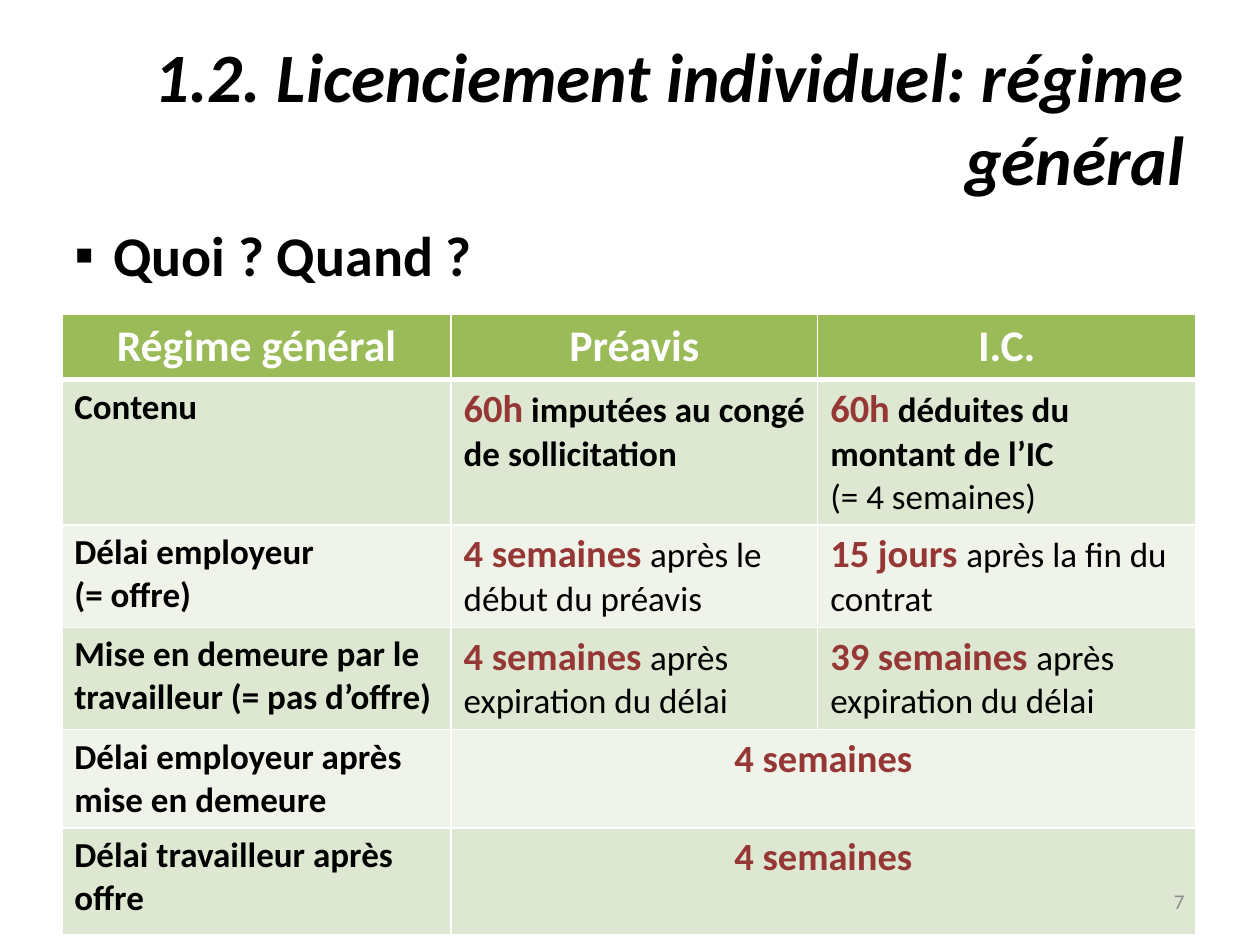
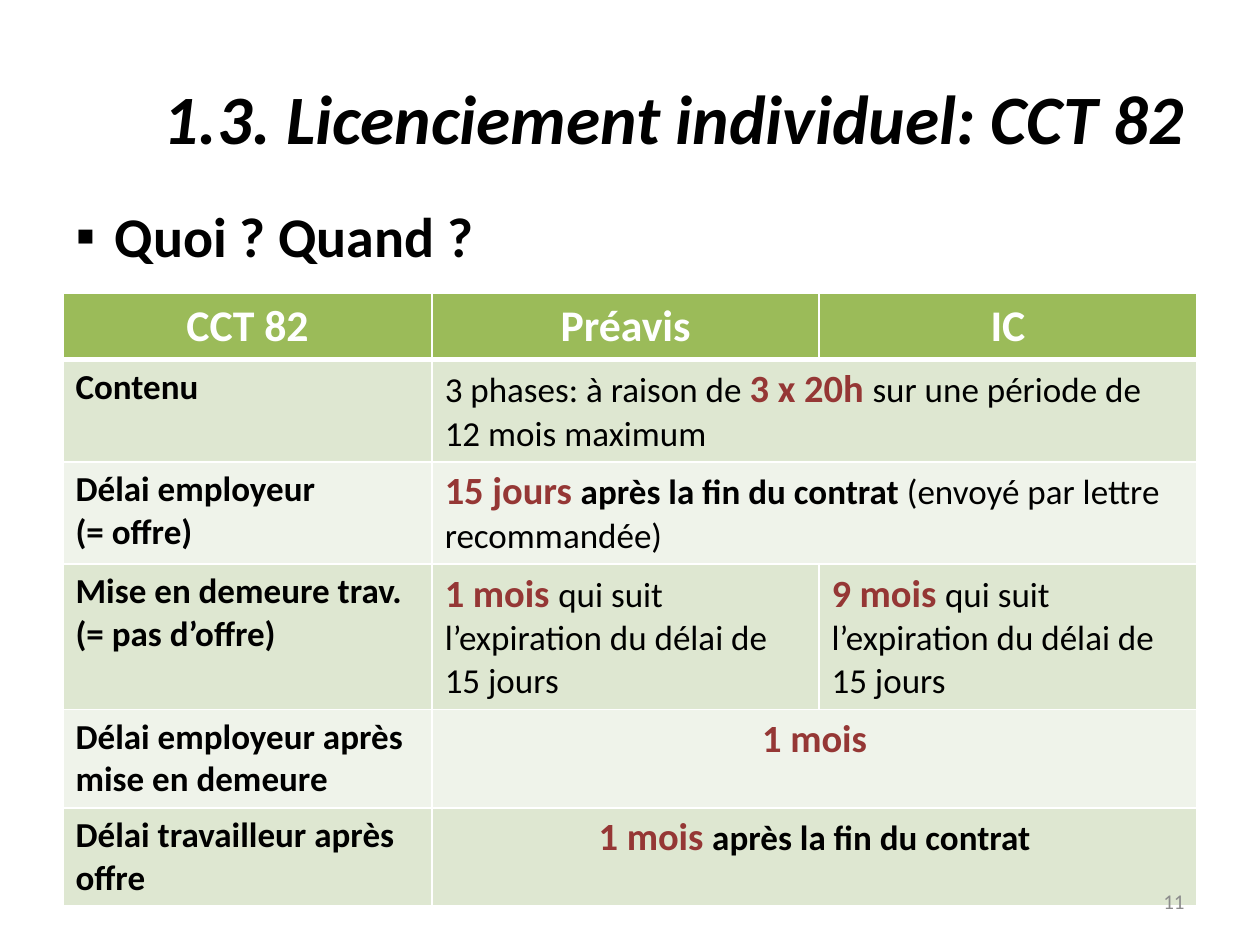
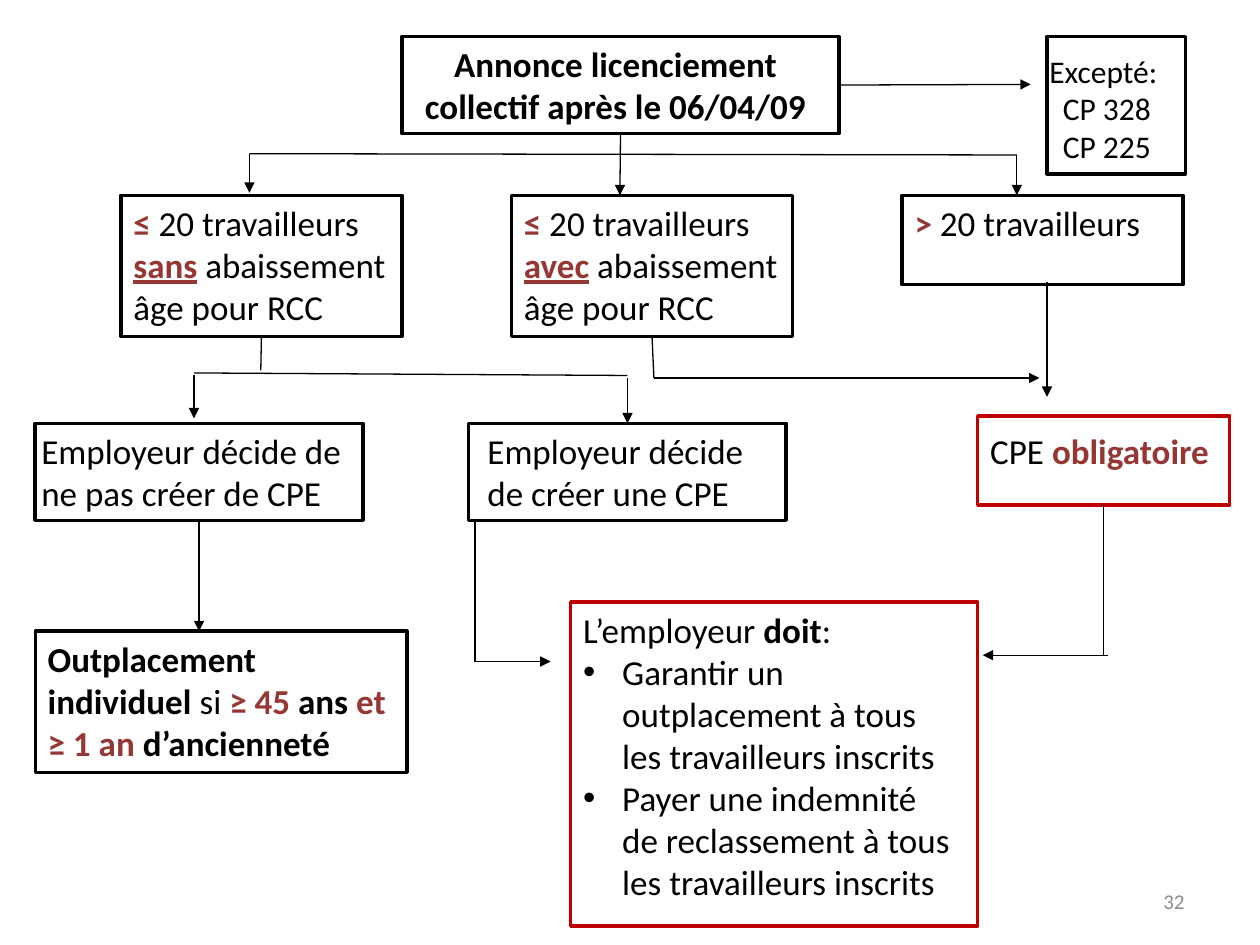
"""Build three slides on dismissal and outplacement rules."""
from dataclasses import dataclass
from typing import NamedTuple, Optional

from lxml import etree
from pptx import Presentation
from pptx.dml.color import RGBColor
from pptx.enum.shapes import MSO_CONNECTOR, MSO_SHAPE
from pptx.enum.text import MSO_ANCHOR, MSO_AUTO_SIZE, PP_ALIGN
from pptx.oxml.ns import qn
from pptx.util import Inches, Pt

BLACK = RGBColor(0x00, 0x00, 0x00)
WHITE = RGBColor(0xFF, 0xFF, 0xFF)
DARK_RED = RGBColor(0x95, 0x37, 0x35)
ALERT = RGBColor(0xC0, 0x00, 0x00)
GREY = RGBColor(0x8C, 0x8C, 0x8C)
GREEN = RGBColor(0x9B, 0xBB, 0x59)
BANDS = (RGBColor(0xDE, 0xE7, 0xD1), RGBColor(0xEF, 0xF3, 0xEA))

FONT = "Calibri"
CENTER, RIGHT, LEFT = PP_ALIGN.CENTER, PP_ALIGN.RIGHT, PP_ALIGN.LEFT
MIDDLE, TOP = MSO_ANCHOR.MIDDLE, MSO_ANCHOR.TOP
FIXED, GROW = MSO_AUTO_SIZE.NONE, MSO_AUTO_SIZE.SHAPE_TO_FIT_TEXT
STRAIGHT, RECTANGLE = MSO_CONNECTOR.STRAIGHT, MSO_SHAPE.RECTANGLE
BOTTOM_SIDE, RIGHT_SIDE, TOP_SIDE = 2, 3, 0
CONTENT_LAYOUT, BLANK_LAYOUT = 1, 6
LIST_INDENT = Inches(0.31)


class Box(NamedTuple):
    """Left, top, width and height in inches."""
    left: float
    top: float
    width: float
    height: float

    def lengths(self) -> list:
        return [Inches(value) for value in self]


TITLE_BOX = Box(0.5, 0.3, 9, 1.25)
NUMBER_BOX = Box(7.17, 6.95, 2.33, 0.4)


@dataclass
class Span:
    """A stretch of text in one format."""
    text: str
    bold: bool = False
    color: RGBColor = BLACK
    size: float = 20
    italic: bool = False
    underline: bool = False


@dataclass
class Line:
    """A paragraph made of spans."""
    spans: list
    align: PP_ALIGN = LEFT
    bullet: str = ""


@dataclass
class Entry:
    """A table cell, possibly spread over several columns."""
    lines: list
    columns: int = 1


@dataclass
class Regime:
    """A slide with a title, a question and a table of deadlines."""
    title: str
    number: str
    question_box: Box
    table_box: Box
    column_widths: tuple
    row_heights: tuple
    headings: tuple
    rows: list


@dataclass
class Step:
    """A box of the flow chart with its wording."""
    frame: Box
    caption: Box
    lines: list
    outline: RGBColor = BLACK


@dataclass
class Link:
    """A line of the flow chart, joined to steps where it meets them."""
    start: tuple
    end: tuple
    arrow: bool = True
    source: Optional[tuple] = None
    target: Optional[tuple] = None


def bold(text: str) -> Span:
    """Return a bold span."""
    return Span(text, bold=True)


def red(text: str, size: float = 20, underline: bool = False) -> Span:
    """Return a highlighted span."""
    return Span(text, True, DARK_RED, size, underline=underline)


def label(*texts: str) -> Entry:
    """Return the bold first cell of a row."""
    return Entry([Line([bold(text)]) for text in texts])


def term(key: str, *rest: Span, columns: int = 1, align: PP_ALIGN = LEFT) -> Entry:
    """Return a cell that opens with a highlighted duration."""
    return Entry([Line([red(key, 22), *rest], align)], columns)


def set_bullet(paragraph, symbol: str) -> None:
    """Give a paragraph a bullet with a hanging indent."""
    properties = paragraph._p.get_or_add_pPr()
    properties.set("marL", str(LIST_INDENT))
    properties.set("indent", str(-LIST_INDENT))
    etree.SubElement(properties, qn("a:buFont")).set("typeface", "Arial")
    etree.SubElement(properties, qn("a:buChar")).set("char", symbol)


def write(frame, lines: list) -> None:
    """Write formatted paragraphs into a text frame."""
    for index, line in enumerate(lines):
        paragraph = frame.add_paragraph() if index else frame.paragraphs[0]
        paragraph.alignment = line.align
        paragraph.space_before = Pt(0)
        if line.bullet:
            set_bullet(paragraph, line.bullet)
        for span in line.spans:
            run = paragraph.add_run()
            run.text = span.text
            formats = {"name": FONT, "size": Pt(span.size), "bold": span.bold,
                       "italic": span.italic, "underline": span.underline}
            for attribute, value in formats.items():
                setattr(run.font, attribute, value)
            run.font.color.rgb = span.color


def place(shape, box: Box, lines: list, anchor: MSO_ANCHOR = TOP,
          sizing: MSO_AUTO_SIZE = FIXED) -> None:
    """Move a text shape and fill it."""
    geometry = dict(zip(("left", "top", "width", "height"), box.lengths()))
    for attribute, value in geometry.items():
        setattr(shape, attribute, value)
    frame = shape.text_frame
    settings = {"word_wrap": True, "vertical_anchor": anchor, "auto_size": sizing}
    for attribute, value in settings.items():
        setattr(frame, attribute, value)
    write(frame, lines)


def add_text(slide, box: Box, lines: list, anchor: MSO_ANCHOR = TOP,
             sizing: MSO_AUTO_SIZE = GROW) -> None:
    """Add a wrapped text box."""
    place(slide.shapes.add_textbox(*box.lengths()), box, lines, anchor, sizing)


def add_number(slide, number: str) -> None:
    """Add the slide number in the footer."""
    add_text(slide, NUMBER_BOX, [Line([Span(number, color=GREY, size=12)], RIGHT)],
             MIDDLE, FIXED)


def set_borders(cell, row: int) -> None:
    """Draw white cell borders, thicker below the heading row."""
    widths = {"a:lnL": 1, "a:lnR": 1, "a:lnT": 3 if row == 1 else 1,
              "a:lnB": 3 if row == 0 else 1}
    for tag, width in widths.items():
        border = etree.SubElement(cell._tc.get_or_add_tcPr(), qn(tag))
        border.set("w", str(Pt(width)))
        fill = etree.SubElement(border, qn("a:solidFill"))
        etree.SubElement(fill, qn("a:srgbClr")).set("val", str(WHITE))


def add_deadlines(slide, regime: Regime) -> None:
    """Add the table of deadlines."""
    headings = [Entry([Line([Span(text, True, WHITE, 25)], CENTER)])
                for text in regime.headings]
    rows = [headings, *regime.rows]
    table = slide.shapes.add_table(len(rows), len(headings),
                                   *regime.table_box.lengths()).table
    table.horz_banding = False
    for column, width in zip(table.columns, regime.column_widths):
        column.width = Inches(width)
    for row, height in zip(table.rows, regime.row_heights):
        row.height = Inches(height)
    for row_index, entries in enumerate(rows):
        for cell in table.rows[row_index].cells:
            set_borders(cell, row_index)
            cell.fill.solid()
            cell.fill.fore_color.rgb = BANDS[(row_index - 1) % 2] if row_index else GREEN
        column_index = 0
        for entry in entries:
            cell = table.cell(row_index, column_index)
            column_index += entry.columns
            if entry.columns > 1:
                cell.merge(table.cell(row_index, column_index - 1))
            write(cell.text_frame, entry.lines)


def add_regime(deck, regime: Regime) -> None:
    """Add a slide for one dismissal regime."""
    slide = deck.slides.add_slide(deck.slide_layouts[CONTENT_LAYOUT])
    title = Span(regime.title, True, size=39.6, italic=True)
    place(slide.shapes.title, TITLE_BOX, [Line([title], RIGHT)], MIDDLE)
    question = Span("Quoi ? Quand ?", True, size=32)
    place(slide.placeholders[1], regime.question_box, [Line([question], bullet="▪")])
    add_deadlines(slide, regime)
    add_number(slide, regime.number)


def add_step(slide, step: Step):
    """Add a flow chart box and return its outline."""
    add_text(slide, step.caption, step.lines)
    outline = slide.shapes.add_shape(RECTANGLE, *step.frame.lengths())
    outline.shadow.inherit = False
    outline.fill.background()
    outline.line.color.rgb = step.outline
    outline.line.width = Pt(2)
    return outline


def add_link(slide, link: Link, outlines: dict) -> None:
    """Add a flow chart line."""
    ends = [Inches(value) for value in (*link.start, *link.end)]
    connector = slide.shapes.add_connector(STRAIGHT, *ends)
    connector.line.color.rgb = BLACK
    connector.line.width = Pt(0.75)
    if link.arrow:
        tail = etree.SubElement(connector.line._get_or_add_ln(), qn("a:tailEnd"))
        tail.set("type", "triangle")
    etree.SubElement(connector._element.spPr, qn("a:effectLst"))
    if link.source:
        connector.begin_connect(outlines[link.source[0]], link.source[1])
    if link.target:
        connector.end_connect(outlines[link.target[0]], link.target[1])


def add_flow(deck, steps: dict, links: list, number: str) -> None:
    """Add the flow chart slide."""
    slide = deck.slides.add_slide(deck.slide_layouts[BLANK_LAYOUT])
    add_number(slide, number)
    outlines = {name: add_step(slide, step) for name, step in steps.items()}
    for link in links:
        add_link(slide, link, outlines)


EMPLOYER_OFFER = label("Délai employeur", "(= offre)")
EMPLOYER_NOTICE = label("Délai employeur après mise en demeure")
WORKER_REPLY = label("Délai travailleur après offre")
AFTER_EXPIRY = Span("après expiration du délai")
AFTER_FIFTEEN_DAYS = Span("qui suit l’expiration du délai de 15 jours")
FOUR_WEEKS = term("4 semaines", columns=2, align=CENTER)

REGIMES = [
    Regime(
        "1.2. Licenciement individuel: régime général", "7",
        Box(0.49, 1.7, 5.53, 0.64), Box(0.49, 2.49, 9, 4.92),
        (3.09, 2.91, 3), (0.52, 1.15, 0.81, 0.81, 0.78, 0.85),
        ("Régime général", "Préavis", "I.C."),
        [
            [label("Contenu"),
             term("60h", Span(" "), bold("imputées au congé de sollicitation")),
             Entry([Line([red("60h", 22), Span(" "), bold("déduites du montant de l’IC")]),
                    Line([Span("(= 4 semaines)")])])],
            [EMPLOYER_OFFER, term("4 semaines ", Span("après le début du préavis")),
             term("15 jours ", Span("après la fin du contrat"))],
            [label("Mise en demeure par le travailleur (= pas d’offre)"),
             term("4 semaines ", AFTER_EXPIRY), term("39 semaines ", AFTER_EXPIRY)],
            [EMPLOYER_NOTICE, FOUR_WEEKS],
            [WORKER_REPLY, FOUR_WEEKS],
        ]),
    Regime(
        "1.3. Licenciement individuel: CCT 82", "11",
        Box(0.5, 1.55, 6.31, 0.64), Box(0.5, 2.33, 9, 4.85),
        (2.93, 3.07, 3), (0.52, 0.81, 0.81, 1.15, 0.78, 0.78),
        ("CCT 82", "Préavis", "IC"),
        [
            [label("Contenu"),
             Entry([Line([Span("3 phases: à raison de "), red("3 x 20h ", 22),
                          Span("sur une période de 12 mois maximum")])], 2)],
            [EMPLOYER_OFFER,
             term("15 jours ", bold("après la fin du contrat "),
                  Span("(envoyé par lettre recommandée)"), columns=2)],
            [label("Mise en demeure trav.", "(= pas d’offre)"),
             term("1 mois ", AFTER_FIFTEEN_DAYS), term("9 mois ", AFTER_FIFTEEN_DAYS)],
            [EMPLOYER_NOTICE, term("1 mois", columns=2, align=CENTER)],
            [WORKER_REPLY,
             term("1 mois ", bold("après la fin du contrat"), columns=2, align=CENTER)],
        ]),
]

STEPS = {
    "announcement": Step(
        Box(3.19, 0.29, 3.47, 0.77), Box(3.19, 0.29, 3.39, 0.77),
        [Line([bold("Annonce licenciement collectif après le 06/04/09")], CENTER)]),
    "exception": Step(
        Box(8.31, 0.29, 1.1, 1.09), Box(8.07, 0.36, 1.43, 1.01),
        [Line([Span(text, size=18)], CENTER) for text in ("Excepté: ", "CP 328", "CP 225")]),
    "small_without": Step(
        Box(0.96, 1.55, 2.23, 1.12), Box(0.96, 1.55, 2.23, 1.11),
        [Line([red("≤ "), Span("20 travailleurs "), red("sans", underline=True),
               Span(" abaissement âge pour RCC")])]),
    "small_with": Step(
        Box(4.06, 1.55, 2.23, 1.12), Box(4.06, 1.55, 2.23, 1.11),
        [Line([red("≤"), Span(" 20 travailleurs "), red("avec", underline=True),
               Span(" abaissement âge pour RCC")])]),
    "large": Step(
        Box(7.16, 1.55, 2.23, 0.71), Box(7.16, 1.55, 2.05, 0.44),
        [Line([red(">"), Span(" 20 travailleurs")])]),
    "no_unit": Step(
        Box(0.28, 3.36, 2.6, 0.77), Box(0.23, 3.36, 2.6, 0.77),
        [Line([Span("Employeur décide de ne pas créer de CPE")])]),
    "unit": Step(
        Box(3.72, 3.36, 2.52, 0.77), Box(3.77, 3.36, 2.52, 0.77),
        [Line([Span("Employeur décide de créer une CPE")])]),
    "mandatory_unit": Step(
        Box(7.76, 3.3, 2, 0.71), Box(7.76, 3.36, 2.05, 0.44),
        [Line([Span("CPE "), red("obligatoire")])], ALERT),
    "individual": Step(
        Box(0.28, 5.01, 2.95, 1.12), Box(0.28, 5.01, 2.91, 1.11),
        [Line([bold("Outplacement individuel "), Span("si "), red("≥ 45 "), bold("ans "),
               red("et ≥ 1 an "), bold("d’ancienneté")])]),
    "duties": Step(
        Box(4.53, 4.78, 3.23, 2.57), Box(4.53, 4.78, 3.15, 2.46),
        [Line([Span("L’employeur "), bold("doit"), Span(":")]),
         Line([Span("Garantir un outplacement à tous les travailleurs inscrits")], bullet="•"),
         Line([Span("Payer une indemnité de reclassement à tous les travailleurs inscrits")],
              bullet="•")], ALERT),
}

LINKS = [
    Link((4.92, 1.06), (4.92, 1.55), source=("announcement", BOTTOM_SIDE)),
    Link((1.98, 1.22), (8.07, 1.23), arrow=False),
    Link((1.98, 1.22), (1.98, 1.53)),
    Link((8.07, 1.23), (8.07, 1.55)),
    Link((2.07, 2.67), (2.07, 2.94), arrow=False, source=("small_without", BOTTOM_SIDE)),
    Link((1.54, 2.96), (4.98, 2.98), arrow=False),
    Link((1.54, 2.98), (1.54, 3.32)),
    Link((4.98, 3), (4.98, 3.36), target=("unit", TOP_SIDE)),
    Link((8.31, 2.24), (8.31, 3.15)),
    Link((5.17, 2.67), (5.19, 3), arrow=False, source=("small_with", BOTTOM_SIDE)),
    Link((5.19, 3), (8.25, 3)),
    Link((1.58, 4.13), (1.58, 5.01), source=("no_unit", BOTTOM_SIDE)),
    Link((3.77, 4.14), (3.77, 5.25), arrow=False),
    Link((3.77, 5.25), (4.37, 5.25)),
    Link((8.76, 4.01), (8.76, 5.2), arrow=False, source=("mandatory_unit", BOTTOM_SIDE)),
    Link((8.79, 5.2), (7.8, 5.2)),
    Link((6.66, 0.67), (8.18, 0.67), source=("announcement", RIGHT_SIDE)),
]


def main() -> None:
    """Build and save the deck."""
    deck = Presentation()
    deck.slide_width, deck.slide_height = Inches(10), Inches(7.5)
    for regime in REGIMES:
        add_regime(deck, regime)
    add_flow(deck, STEPS, LINKS, "32")
    deck.save("out.pptx")


if __name__ == "__main__":
    main()
